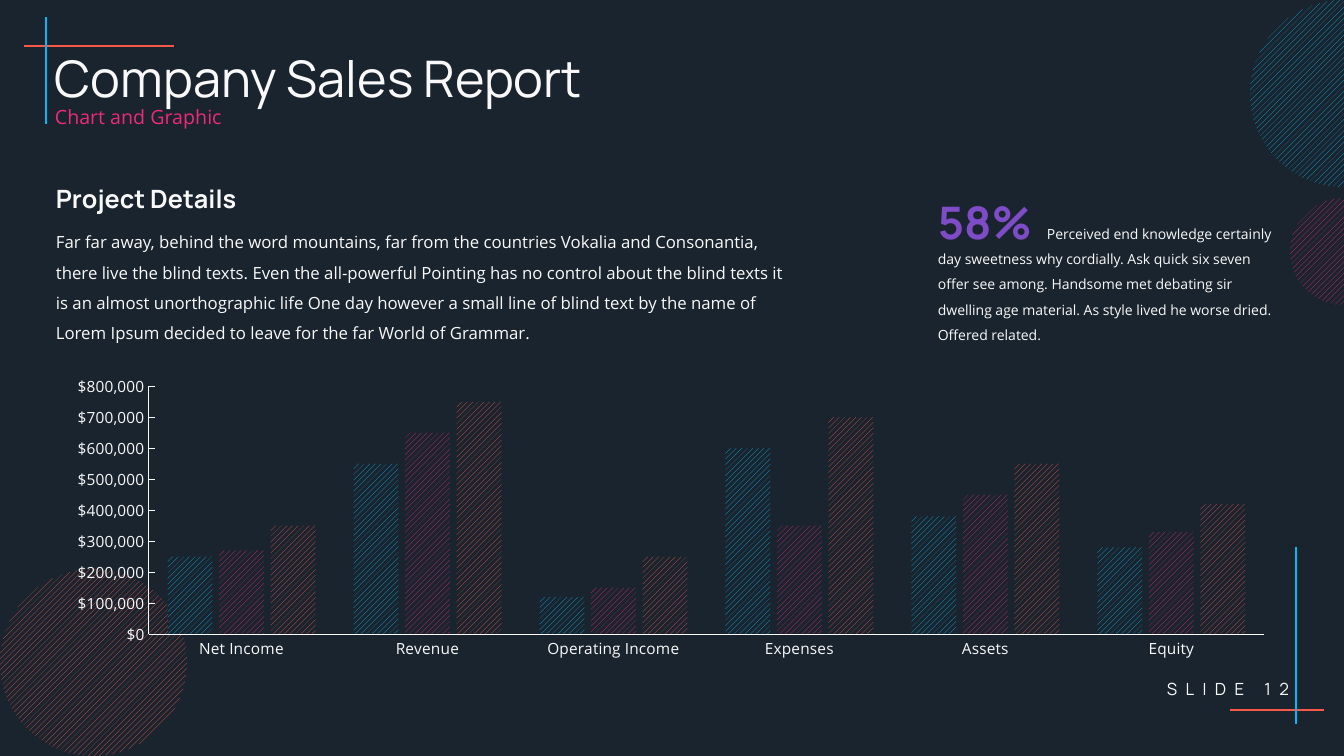
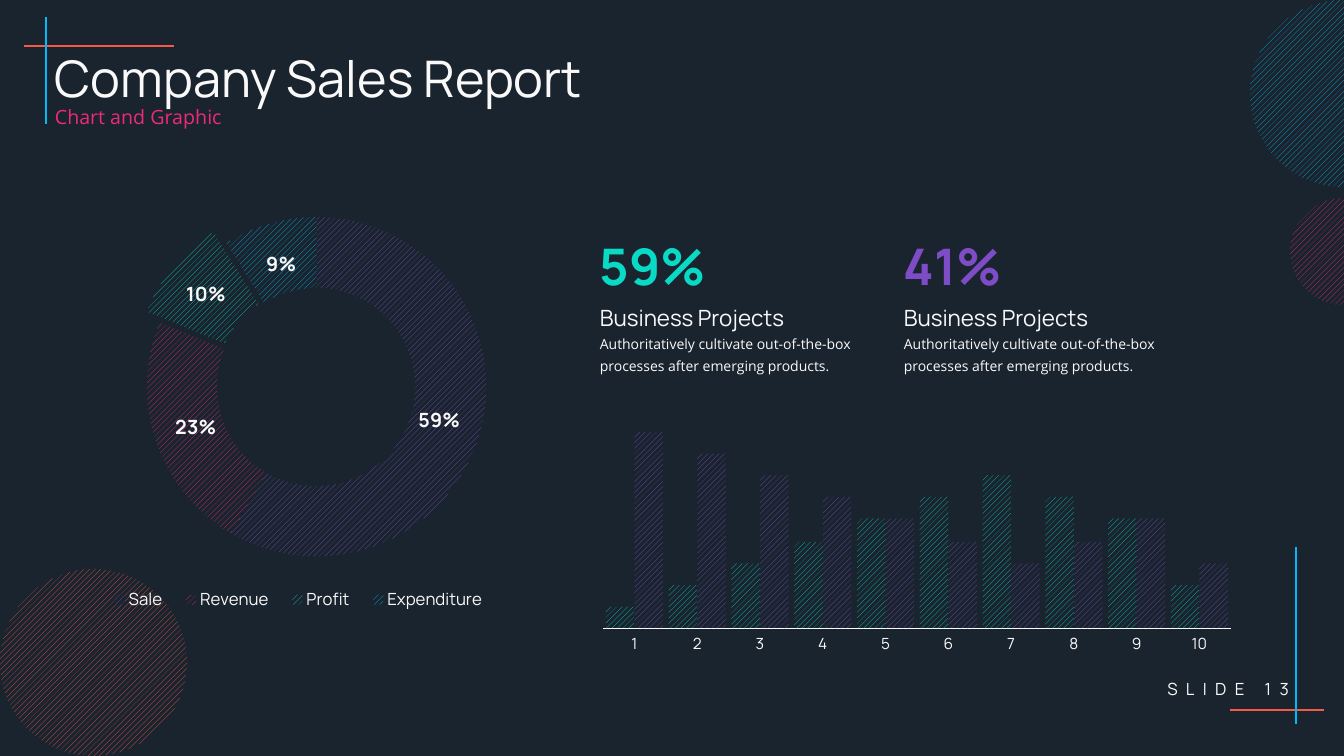
"""Build two company sales report slides with patterned charts."""
from dataclasses import dataclass

from lxml.etree import SubElement
from pptx import Presentation
from pptx.chart.chart import Chart
from pptx.chart.data import CategoryChartData
from pptx.dml.color import RGBColor
from pptx.dml.fill import FillFormat
from pptx.enum.chart import XL_CHART_TYPE, XL_LEGEND_POSITION, XL_TICK_MARK
from pptx.enum.dml import MSO_PATTERN
from pptx.enum.shapes import MSO_CONNECTOR, MSO_SHAPE
from pptx.enum.text import MSO_ANCHOR, PP_ALIGN
from pptx.oxml.ns import qn
from pptx.slide import Slide
from pptx.text.text import Font
from pptx.util import Pt

WIDTH, HEIGHT = 1344, 756
SCALE = 12192000 / WIDTH
HEADING, BODY = "Manrope", "Open Sans"
COLORS = {
    "night": "1A242E", "white": "F9F9F9", "coral": "F75847", "sky": "05B9F6",
    "pink": "EF2A79", "violet": "7E4CC7", "teal": "08DAC6", "axis": "FEFEFE",
}
Box = tuple[int, int, int, int]


@dataclass(frozen=True)
class Para:
    text: str
    size: int
    font: str = BODY
    color: str = "white"
    bold: bool = False
    line_spacing: float = 1.0
    before: int = 0
    align: PP_ALIGN = PP_ALIGN.LEFT
    tracking: int = 0
    indent: int = 0


@dataclass(frozen=True)
class Stroke:
    start: tuple[int, int]
    end: tuple[int, int]
    color: str


@dataclass(frozen=True)
class Disc:
    left: int
    top: int
    size: int
    color: str


@dataclass(frozen=True)
class Series:
    name: str
    values: tuple[int, ...]
    color: str


@dataclass(frozen=True)
class Columns:
    box: Box
    categories: tuple[str, ...]
    series: tuple[Series, ...]
    gap: int
    overlap: int
    maximum: int
    font: str
    axis_color: str


@dataclass(frozen=True)
class Metric:
    left: int
    value: str
    color: str


STROKES = (
    Stroke((174, 46), (24, 46), "coral"),
    Stroke((46, 124), (46, 17), "sky"),
    Stroke((1230, 710), (1324, 710), "coral"),
    Stroke((1296, 547), (1296, 724), "sky"),
)
DISCS = (
    Disc(0, 569, 187, "coral"),
    Disc(1290, 198, 107, "pink"),
    Disc(1250, 0, 187, "sky"),
)
FINANCES = Columns(
    (53, 370, 1236, 295),
    ("Net Income", "Revenue", "Operating Income", "Expenses", "Assets", "Equity"),
    (
        Series("Series 1", (250000, 550000, 120000, 600000, 380000, 280000), "sky"),
        Series("Series 2", (270000, 650000, 150000, 350000, 450000, 330000), "pink"),
        Series("Series 3", (350000, 750000, 250000, 700000, 550000, 420000), "coral"),
    ),
    85, -15, 800000, BODY, "white",
)
PROJECTS = Columns(
    (590, 404, 654, 255),
    tuple(str(number) for number in range(1, 11)),
    (
        Series("Series 1", (11, 22, 33, 44, 56, 67, 78, 67, 56, 22), "teal"),
        Series("Series 2", (100, 89, 78, 67, 56, 44, 33, 44, 56, 33), "violet"),
    ),
    20, 0, 100, HEADING, "axis",
)
SHARES = (("Sale", 59, "violet"), ("Revenue", 23, "pink"),
          ("Profit", 10, "teal"), ("Expenditure", 9, "sky"))
METRICS = (Metric(590, "59%", "teal"), Metric(894, "41%", "violet"))


def px(value: float) -> int:
    """Turn pixels into EMU."""
    return round(value * SCALE)


def rgb(name: str) -> RGBColor:
    """Look up a named colour."""
    return RGBColor.from_string(COLORS[name])


def style_font(font: Font, size: int, name: str, color: str = "white", bold: bool = False) -> None:
    """Set size, face, weight and colour of a font."""
    for key, value in {"size": Pt(size), "name": name, "bold": bold}.items():
        setattr(font, key, value)
    font.color.rgb = rgb(color)


def hatch(fill: FillFormat, color: str) -> None:
    """Fill with wide diagonal stripes on the background colour."""
    fill.patterned()
    fill.pattern = MSO_PATTERN.WIDE_UPWARD_DIAGONAL
    fill.fore_color.rgb = rgb(color)
    fill.back_color.rgb = rgb("night")


def add_text(page: Slide, box: Box, *paras: Para, anchor: MSO_ANCHOR = MSO_ANCHOR.TOP) -> None:
    """Add a wrapped text box."""
    frame = page.shapes.add_textbox(*map(px, box)).text_frame
    frame.word_wrap = True
    frame.vertical_anchor = anchor
    for index, para in enumerate(paras):
        paragraph = frame.add_paragraph() if index else frame.paragraphs[0]
        formats = {"alignment": para.align, "line_spacing": para.line_spacing,
                   "space_before": Pt(para.before)}
        for key, value in formats.items():
            setattr(paragraph, key, value)
        if para.indent:
            properties = paragraph._p.get_or_add_pPr()
            properties.set("marL", "0")
            properties.set("indent", str(px(para.indent)))
        span = paragraph.add_run()
        span.text = para.text
        style_font(span.font, para.size, para.font, para.color, para.bold)
        if para.tracking:
            span._r.get_or_add_rPr().set("spc", str(para.tracking * 100))


def add_stroke(page: Slide, stroke: Stroke) -> None:
    """Draw a straight accent line."""
    line = page.shapes.add_connector(
        MSO_CONNECTOR.STRAIGHT, *map(px, stroke.start + stroke.end))
    line.line.width = Pt(2)
    line.line.color.rgb = rgb(stroke.color)
    SubElement(line._element.spPr, qn("a:effectLst"))


def add_disc(page: Slide, disc: Disc, striped: bool = True) -> None:
    """Draw a circle, striped or plain."""
    shape = page.shapes.add_shape(
        MSO_SHAPE.OVAL, *map(px, (disc.left, disc.top, disc.size, disc.size)))
    shape.shadow.inherit = False
    shape.line.fill.background()
    if striped:
        hatch(shape.fill, disc.color)
    else:
        shape.fill.solid()
        shape.fill.fore_color.rgb = rgb(disc.color)


def place(parent, index: int, inner: bool, **fractions: float) -> None:
    """Give a plot area or legend a fixed place in its chart."""
    for old in parent.findall(qn("c:layout")):
        parent.remove(old)
    layout = SubElement(parent, qn("c:layout"))
    parent.insert(index, layout)
    manual = SubElement(layout, qn("c:manualLayout"))
    settings = {"layoutTarget": "inner"} if inner else {}
    settings |= {"xMode": "edge", "yMode": "edge"}
    settings |= {key: str(value) for key, value in fractions.items()}
    for key, value in settings.items():
        SubElement(manual, qn(f"c:{key}")).set("val", value)


def add_columns(page: Slide, columns: Columns) -> Chart:
    """Add a clustered column chart with striped bars."""
    data = CategoryChartData()
    data.categories = columns.categories
    for series in columns.series:
        data.add_series(series.name, series.values)
    chart = page.shapes.add_chart(
        XL_CHART_TYPE.COLUMN_CLUSTERED, *map(px, columns.box), data).chart
    chart.has_title = chart.has_legend = False
    style_font(chart.font, 10, BODY)
    plot = chart.plots[0]
    for key, value in {"gap_width": columns.gap, "overlap": columns.overlap,
                       "vary_by_categories": False}.items():
        setattr(plot, key, value)
    for bars, series in zip(plot.series, columns.series):
        bars.invert_if_negative = False
        hatch(bars.format.fill, series.color)
    for axis in (chart.category_axis, chart.value_axis):
        axis.has_major_gridlines = False
        axis.major_tick_mark = axis.minor_tick_mark = XL_TICK_MARK.NONE
        style_font(axis.tick_labels.font, 11, columns.font)
        axis.format.line.width = Pt(0.75)
        axis.format.line.color.rgb = rgb(columns.axis_color)
    chart.value_axis.minimum_scale = 0
    chart.value_axis.maximum_scale = columns.maximum
    return chart


def add_doughnut(page: Slide) -> None:
    """Add the share doughnut with its legend and pulled-out slice."""
    data = CategoryChartData()
    data.categories = [name for name, _, _ in SHARES]
    data.add_series("Series 1", [value for _, value, _ in SHARES])
    chart = page.shapes.add_chart(
        XL_CHART_TYPE.DOUGHNUT, *map(px, (0, 120, 603, 539)), data).chart
    chart.has_title = False
    style_font(chart.font, 10, BODY)
    chart.has_legend = True
    legend = chart.legend
    legend.position = XL_LEGEND_POSITION.RIGHT
    legend.include_in_layout = False
    style_font(legend.font, 12, HEADING)
    place(legend._element, 1, False, x=0.16, y=0.86, w=0.67, h=0.06)
    plot = chart.plots[0]
    ring = plot.series[0]
    for index, (_, _, color) in enumerate(SHARES):
        hatch(ring.points[index].format.fill, color)
    slice_xml = ring._element.get_or_add_dPt_for_point(2)
    explosion = SubElement(slice_xml, qn("c:explosion"))
    explosion.set("val", "20")
    slice_xml.find(qn("c:spPr")).addprevious(explosion)
    plot.has_data_labels = True
    labels = plot.data_labels
    for key, value in {"show_value": True, "show_percentage": False,
                       "number_format": '0"%"', "number_format_is_linked": False}.items():
        setattr(labels, key, value)
    style_font(labels.font, 14, HEADING, bold=True)
    plot._element.find(qn("c:holeSize")).set("val", "55")
    place(chart._chartSpace.chart.plotArea, 0, True, x=0.24, y=0.18, w=0.57, h=0.63)


def add_page(deck: Presentation, number: int) -> Slide:
    """Add a slide with the shared lines, discs, footer and titles."""
    page = deck.slides.add_slide(deck.slide_layouts[6])
    for stroke in STROKES:
        add_stroke(page, stroke)
    for disc in DISCS:
        add_disc(page, disc)
    middle = MSO_ANCHOR.MIDDLE
    add_text(page, (1089, 668, 210, 41),
             Para(f"SLIDE {number}", 12, HEADING, align=PP_ALIGN.RIGHT, tracking=6), anchor=middle)
    add_text(page, (45, 86, 1253, 65),
             Para("Chart and Graphic", 14, color="pink", line_spacing=0.9, before=10), anchor=middle)
    add_text(page, (45, 49, 1253, 65),
             Para("Company Sales Report", 36, HEADING, line_spacing=0.9, before=10), anchor=middle)
    return page


def build_details(deck: Presentation) -> None:
    """Build the project details slide."""
    page = add_page(deck, 12)
    axis = add_columns(page, FINANCES).value_axis
    axis.major_unit = 100000
    axis.major_tick_mark = XL_TICK_MARK.INSIDE
    axis.tick_labels.number_format = '"$"#,##0'
    axis.tick_labels.number_format_is_linked = False
    add_text(page, (928, 191, 123, 62), Para("58%", 32, HEADING, "violet", True),
             anchor=MSO_ANCHOR.MIDDLE)
    add_text(page, (928, 212, 361, 137), Para("Perceived end knowledge certainly day sweetness why cordially. Ask quick six seven offer see among. Handsome met debating sir dwelling age material. As style lived he worse dried. Offered related.", 10, line_spacing=1.5, indent=109))
    add_text(page, (46, 169, 608, 47), Para("Project Details", 18, HEADING, bold=True, line_spacing=1.3))
    add_text(page, (46, 217, 751, 132), Para("Far far away, behind the word mountains, far from the countries Vokalia and Consonantia, there live the blind texts. Even the all-powerful Pointing has no control about the blind texts it is an almost unorthographic life One day however a small line of blind text by the name of Lorem Ipsum decided to leave for the far World of Grammar.", 12, line_spacing=1.5))


def build_shares(deck: Presentation) -> None:
    """Build the business projects slide."""
    page = add_page(deck, 13)
    add_doughnut(page)
    for metric in METRICS:
        add_text(page, (metric.left, 212, 288, 169),
                 Para(metric.value, 36, HEADING, metric.color, True, 1.3),
                 Para("Business Projects", 16, HEADING, line_spacing=1.3),
                 Para("Authoritatively cultivate out-of-the-box processes after emerging products.", 10, line_spacing=1.3))
    chart = add_columns(page, PROJECTS)
    chart.value_axis.visible = False
    place(chart._chartSpace.chart.plotArea, 0, True, x=0.02, y=0.11, w=0.96, h=0.77)
    add_disc(page, Disc(217, 288, 198, "night"), striped=False)


def main() -> None:
    """Build and save the deck."""
    deck = Presentation()
    deck.slide_width, deck.slide_height = px(WIDTH), px(HEIGHT)
    fill = deck.slide_master.background.fill
    fill.solid()
    fill.fore_color.rgb = rgb("night")
    build_details(deck)
    build_shares(deck)
    deck.save("out.pptx")


if __name__ == "__main__":
    main()
